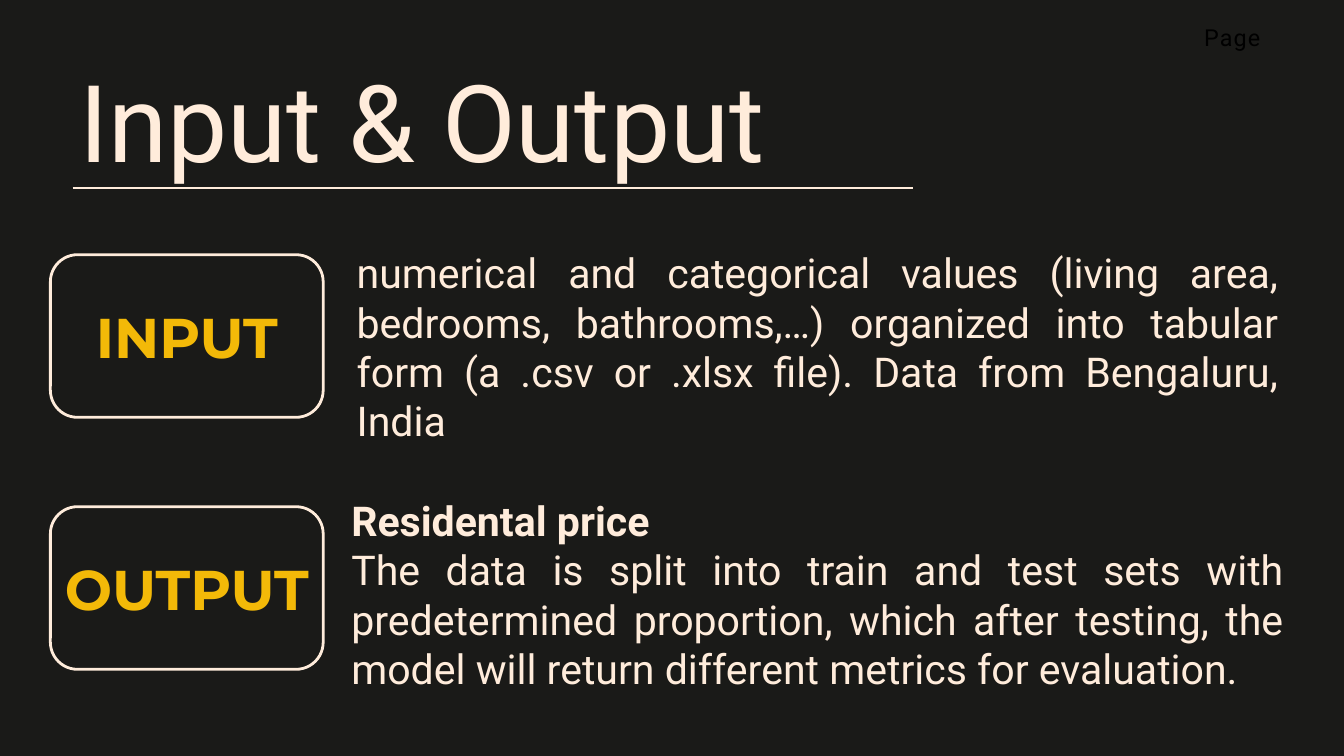
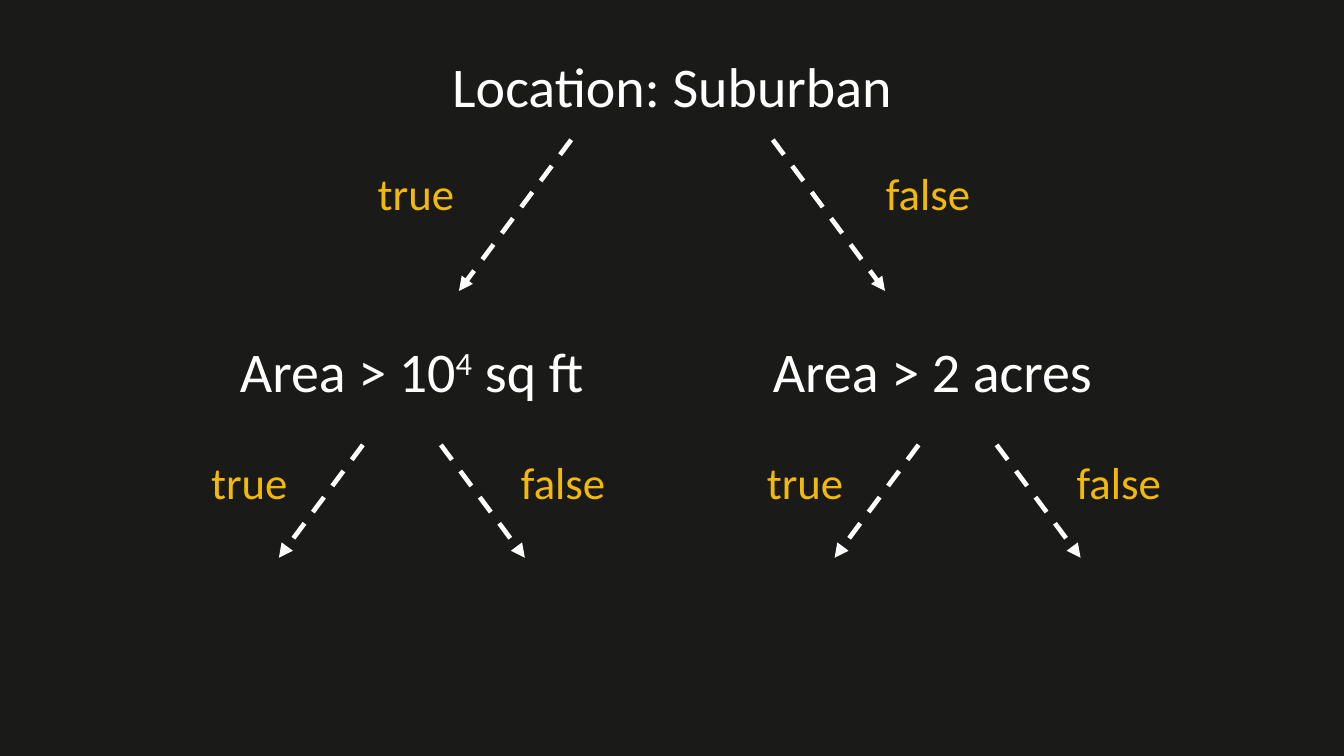
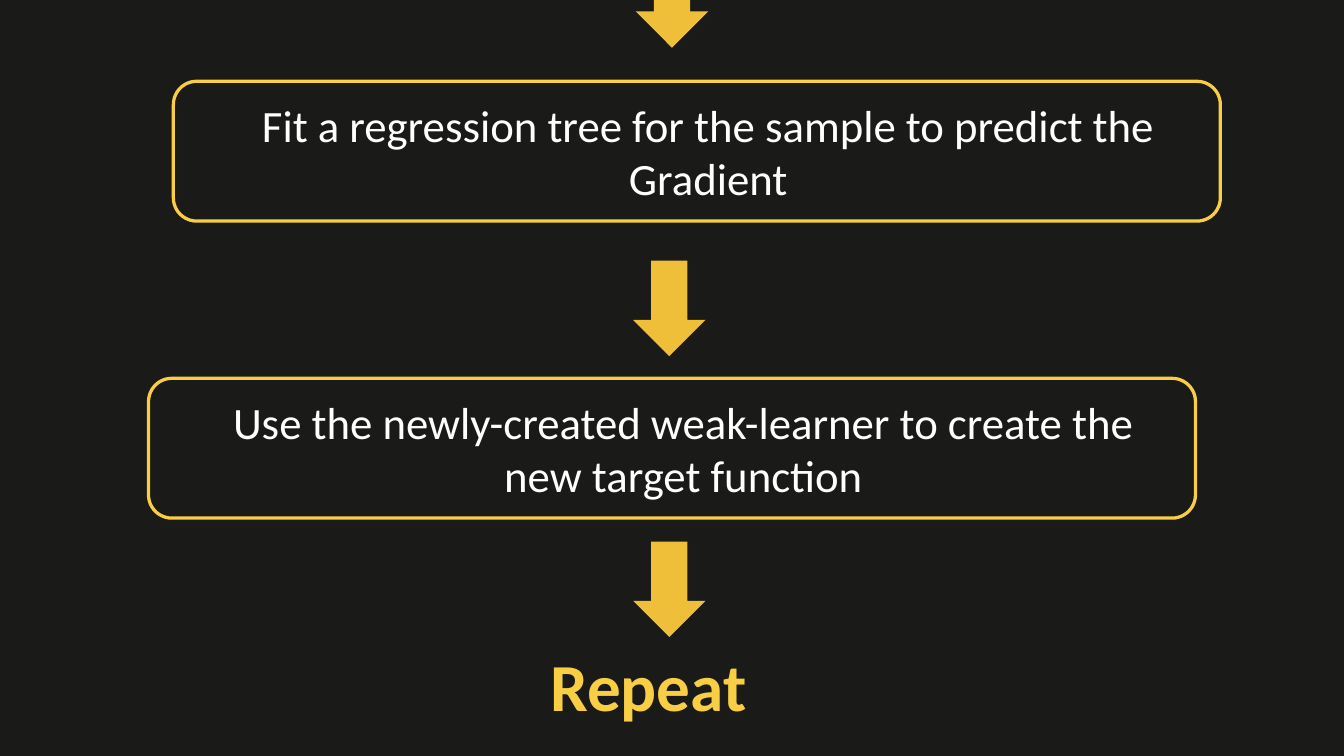
from dataclasses import dataclass

from lxml.etree import SubElement
from pptx import Presentation
from pptx.dml.color import RGBColor
from pptx.enum.dml import MSO_LINE_DASH_STYLE as Dash
from pptx.enum.shapes import MSO_CONNECTOR, MSO_SHAPE
from pptx.enum.text import MSO_ANCHOR as Anchor, MSO_AUTO_SIZE, PP_ALIGN as Align
from pptx.oxml.ns import qn
from pptx.shapes.autoshape import Shape
from pptx.shapes.connector import Connector
from pptx.slide import Slide
from pptx.text.text import TextFrame
from pptx.util import Inches, Pt

TITLE_ONLY, BLANK = 5, 6


@dataclass(frozen=True)
class TextStyle:
    font: str
    size: float
    color: RGBColor
    bold: bool = False
    align: Align = Align.CENTER


@dataclass(frozen=True)
class Theme:
    background = RGBColor.from_string("1A1A18")
    cream = RGBColor.from_string("FFECDB")
    white = RGBColor.from_string("FFFFFF")
    amber = RGBColor.from_string("F3B908")
    yellow = RGBColor.from_string("F9CE45")
    gold = RGBColor.from_string("EFBF39")
    black = RGBColor.from_string("000000")

    title = TextStyle("Roboto", 115, cream, align=Align.LEFT)
    page = TextStyle("Roboto", 25, black, align=Align.LEFT)
    tag = TextStyle("Montserrat", 60, amber, bold=True)
    body = TextStyle("Roboto", 44, cream, align=Align.JUSTIFY)
    body_heading = TextStyle("Roboto", 44, cream, bold=True, align=Align.JUSTIFY)
    node = TextStyle("Calibri", 60, white)
    answer = TextStyle("Calibri", 48, amber)
    step = TextStyle("Calibri", 48, white)
    repeat = TextStyle("Calibri", 72, yellow, bold=True, align=Align.LEFT)


THEME = Theme()


@dataclass(frozen=True)
class Box:
    left: float
    top: float
    width: float
    height: float

    def lengths(self) -> tuple[Inches, ...]:
        return tuple(Inches(n) for n in (self.left, self.top, self.width, self.height))


@dataclass(frozen=True)
class Split:
    """A pair of true and false arrows leaving a node; offsets are from center_x."""
    center_x: float
    top: float
    bottom: float
    start_offset: float
    end_offset: float
    label_top: float
    true_offset: float
    false_offset: float


def write(frame: TextFrame, *lines: tuple[str, TextStyle]) -> None:
    """Fill a frame with one styled paragraph per line."""
    for index, (text, style) in enumerate(lines):
        paragraph = frame.add_paragraph() if index else frame.paragraphs[0]
        paragraph.text = text
        paragraph.alignment = style.align
        font = paragraph.font
        font.name, font.size, font.bold = style.font, Pt(style.size), style.bold
        font.color.rgb = style.color


def add_text(slide: Slide, box: Box, *lines: tuple[str, TextStyle],
             wrap: bool = True) -> TextFrame:
    frame = slide.shapes.add_textbox(*box.lengths()).text_frame
    frame.word_wrap = wrap
    write(frame, *lines)
    return frame


def set_title(slide: Slide, box: Box, text: str, style: TextStyle) -> None:
    title = slide.shapes.title
    title.left, title.top, title.width, title.height = box.lengths()
    frame = title.text_frame
    frame.auto_size = MSO_AUTO_SIZE.NONE
    frame.vertical_anchor = Anchor.TOP
    write(frame, (text, style))


def add_outlined_box(slide: Slide, box: Box, color: RGBColor, weight: float,
                     text: str, style: TextStyle) -> Shape:
    shape = slide.shapes.add_shape(MSO_SHAPE.ROUNDED_RECTANGLE, *box.lengths())
    shape.shadow.inherit = False
    shape.fill.background()
    shape.line.color.rgb = color
    shape.line.width = Pt(weight)
    shape.text_frame.vertical_anchor = Anchor.MIDDLE
    write(shape.text_frame, (text, style))
    return shape


def add_line(slide: Slide, start: tuple[float, float], end: tuple[float, float],
             color: RGBColor, weight: float) -> Connector:
    line = slide.shapes.add_connector(
        MSO_CONNECTOR.STRAIGHT, *(Inches(n) for n in (*start, *end)))
    line.line.color.rgb = color
    line.line.width = Pt(weight)
    SubElement(line._element.spPr, qn("a:effectLst"))
    return line


def add_dashed_arrow(slide: Slide, start: tuple[float, float],
                     end: tuple[float, float]) -> None:
    arrow = add_line(slide, start, end, THEME.white, 5)
    arrow.line.dash_style = Dash.DASH
    SubElement(arrow.line._get_or_add_ln(), qn("a:tailEnd"), type="triangle")


def add_split(slide: Slide, split: Split) -> None:
    width, height = 2.61, 0.91
    branches = ((-1, "true", split.true_offset), (1, "false", split.false_offset))
    for side, answer, label_offset in branches:
        add_dashed_arrow(
            slide,
            (split.center_x + side * split.start_offset, split.top),
            (split.center_x + side * split.end_offset, split.bottom))
        left = split.center_x + side * label_offset - width / 2
        add_text(slide, Box(left, split.label_top, width, height),
                 (answer, THEME.answer))


def add_down_arrow(slide: Slide, left: float, top: float) -> None:
    arrow = slide.shapes.add_shape(
        MSO_SHAPE.DOWN_ARROW, *Box(left, top, 1.08, 1.42).lengths())
    arrow.shadow.inherit = False
    arrow.fill.solid()
    arrow.fill.fore_color.rgb = THEME.gold
    arrow.line.fill.background()


def add_step(slide: Slide, left: float, top: float, text: str) -> None:
    box = add_outlined_box(slide, Box(left, top, 15.58, 2.08), THEME.yellow, 3.5,
                           text, THEME.step)
    box.text_frame.word_wrap = True
    box.text_frame.margin_left = Inches(0.81)
    box.text_frame.margin_right = Inches(0.47)


def build_input_output(slide: Slide) -> None:
    set_title(slide, Box(1.08, 0.77, 11.12, 2.04), "Input & Output", THEME.title)
    add_line(slide, (1.08, 2.8), (13.58, 2.8), THEME.cream, 1.5)

    page = add_text(slide, Box(17.82, 0.3, 1.3, 0.5), ("Page", THEME.page), wrap=False)
    page.paragraphs[0].runs[0]._r.get_or_add_rPr().set("spc", "125")

    for text, top in (("INPUT", 3.79), ("OUTPUT", 7.54)):
        tag = add_outlined_box(slide, Box(0.75, top, 4.06, 2.42), THEME.cream, 3,
                               text, THEME.tag)
        tag.text_frame.word_wrap = False

    add_text(slide, Box(5.21, 3.64, 13.93, 3.06),
             ("numerical and categorical values (living area, bedrooms, bathrooms,…) "
              "organized into tabular form (a .csv or .xlsx file). "
              "Data from Bengaluru, India", THEME.body))
    output = add_text(
        slide, Box(5.13, 6.96, 14.09, 3.43),
        ("Residental price", THEME.body_heading),
        ("The data is split into train and test sets with predetermined proportion, "
         "which after testing, the model will return different metrics for "
         "evaluation.", THEME.body))
    output.paragraphs[0].line_spacing = 1.5


def build_decision_tree(slide: Slide) -> None:
    set_title(slide, Box(4.89, 0.71, 10.22, 1.11), "Location: Suburban", THEME.node)

    area = add_text(slide, Box(2.5, 4.96, 7.25, 1.11), ("Area > 10", THEME.node))
    exponent = area.paragraphs[0].add_run()
    exponent.text = "4"
    exponent._r.get_or_add_rPr().set("baseline", "30000")
    area.paragraphs[0].add_run().text = " sq ft"
    add_text(slide, Box(10.25, 4.96, 7.25, 1.11), ("Area > 2 acres", THEME.node))

    add_split(slide, Split(10, 2.08, 4.33, 1.5, 3.17, 2.41, 3.81, 3.81))
    for center_x in (5.98, 14.25):
        add_split(slide, Split(center_x, 6.62, 8.3, 0.58, 1.83, 6.71, 2.27, 2.4))


def build_boosting_steps(slide: Slide) -> None:
    add_step(slide, 2.58, 1.21,
             "Fit a regression tree for the sample to predict the Gradient")
    add_step(slide, 2.21, 5.63,
             "Use the newly-created weak-learner to create the new target function")
    for left, top in ((9.46, -0.71), (9.42, 3.88), (9.42, 8.06)):
        add_down_arrow(slide, left, top)
    add_text(slide, Box(8.09, 9.54, 3.76, 1.31), ("Repeat", THEME.repeat), wrap=False)


def main() -> None:
    presentation = Presentation()
    presentation.slide_width, presentation.slide_height = Inches(20), Inches(11.25)
    background = presentation.slide_master.background.fill
    background.solid()
    background.fore_color.rgb = THEME.background

    for layout, build in ((TITLE_ONLY, build_input_output),
                          (TITLE_ONLY, build_decision_tree),
                          (BLANK, build_boosting_steps)):
        build(presentation.slides.add_slide(presentation.slide_layouts[layout]))
    presentation.save("out.pptx")


if __name__ == "__main__":
    main()
